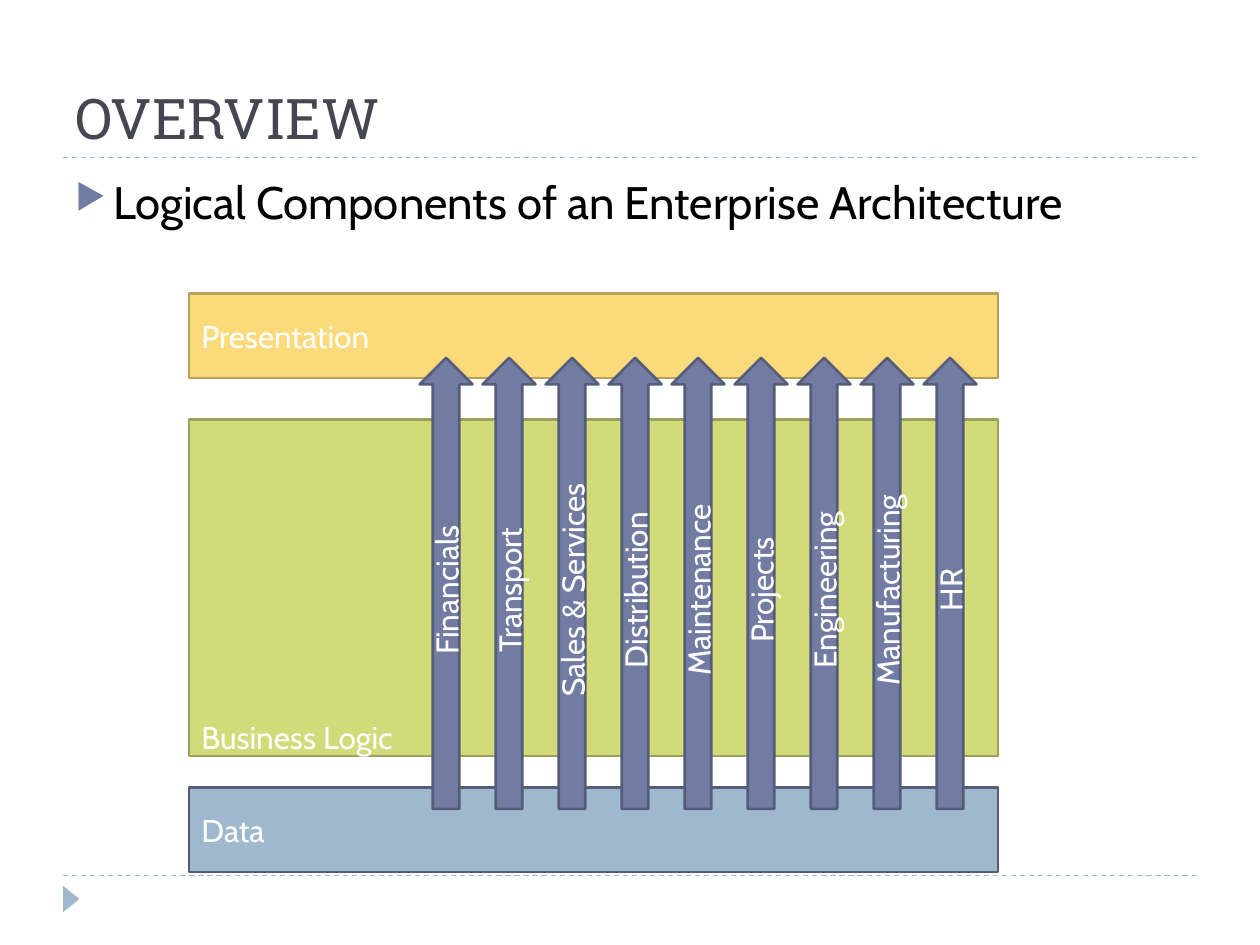
from pptx import Presentation
from pptx.dml.color import RGBColor
from pptx.enum import dml, shapes, text
from pptx.oxml import parse_xml
from pptx.oxml.ns import nsdecls
from pptx.util import Inches, Pt

BODY_FONT, TITLE_FONT = "Cabin", "Roboto Slab"
LAYERS = [  # name, top, height, fill, line, anchor
    ("Data", 6.25, 0.67, "9FB8CD", "545C79", text.MSO_ANCHOR.MIDDLE),
    ("Business Logic", 3.33, 2.67, "D2DA7A", "9BA15A", text.MSO_ANCHOR.BOTTOM),
    ("Presentation", 2.33, 0.67, "FADA7A", "B9A15A", text.MSO_ANCHOR.MIDDLE),
]
MODULES = ["Financials", "Transport", "Sales & Services", "Distribution", "Maintenance",
           "Projects", "Engineering", "Manufacturing", "HR"]


def rgb(value):
    return RGBColor.from_string(value)


def write(sp, words, size, color, font=BODY_FONT, align=text.PP_ALIGN.LEFT,
          anchor=text.MSO_ANCHOR.MIDDLE):
    tf = sp.text_frame
    tf.text = words
    tf.word_wrap = True
    tf.vertical_anchor = anchor
    p = tf.paragraphs[0]
    p.alignment = align
    f = p.runs[0].font
    f.size, f.name, f.color.rgb = Pt(size), font, rgb(color)
    return p


def add_shape(s, kind, x, y, w, h, fill, line=None):
    sp = s.shapes.add_shape(kind, Inches(x), Inches(y), Inches(w), Inches(h))
    sp.shadow.inherit = False
    sp.fill.solid()
    sp.fill.fore_color.rgb = rgb(fill)
    if line:
        sp.line.color.rgb = rgb(line)
        sp.line.width = Pt(1.5)
    else:
        sp.line.fill.background()
    return sp


def add_frame(s, x, w):
    """Dashed rules under the title and above the footer, with the footer marker."""
    for y in (6.95, 1.25):
        rule = s.shapes.add_connector(shapes.MSO_CONNECTOR.STRAIGHT, Inches(x), Inches(y),
                                      Inches(x + w), Inches(y))
        rule.line.color.rgb = rgb("9FB8CD")
        rule.line.width = Pt(0.75)
        rule.line.dash_style = dml.MSO_LINE.DASH
        rule._element.spPr.append(parse_xml(f"<a:effectLst {nsdecls('a')}/>"))
    marker = add_shape(s, shapes.MSO_SHAPE.ISOSCELES_TRIANGLE, x - 0.04, 7.07, 0.21, 0.13,
                       "9FB8CD")
    marker.rotation = 90


def add_title(s, x, y, w, h):
    title = s.shapes.title
    title.left, title.top, title.width, title.height = map(Inches, (x, y, w, h))
    write(title, "OVERVIEW", 32, "464653", TITLE_FONT, anchor=text.MSO_ANCHOR.BOTTOM)


def add_bullet(s, x, y, w, h):
    box = s.shapes.add_textbox(Inches(x), Inches(y), Inches(w), Inches(h))
    p = write(box, "Logical Components of an Enterprise Architecture", 26, "000000",
              anchor=text.MSO_ANCHOR.TOP)
    p.space_before = Pt(6)
    pPr = p._p.get_or_add_pPr()
    pPr.set("marL", str(Inches(0.3)))
    pPr.set("indent", str(-Inches(0.3)))
    for tag in ('buClr {}><a:srgbClr val="727CA3"/></a:buClr>', 'buSzPct {} val="76000"/>',
                'buChar {} char="▶"/>'):
        pPr.append(parse_xml("<a:" + tag.format(nsdecls("a"))))


def add_layers(s, x, w):
    for name, y, h, fill, line, anchor in LAYERS:
        sp = add_shape(s, shapes.MSO_SHAPE.RECTANGLE, x, y, w, h, fill, line)
        write(sp, name, 18, "FFFFFF", anchor=anchor)
        if anchor == text.MSO_ANCHOR.BOTTOM:
            sp.text_frame.margin_bottom = 0


def add_modules(s, x, y, length, thickness, pitch):
    """Upward arrows; x and y locate the first one before its quarter turn."""
    for i, name in enumerate(MODULES):
        arrow = add_shape(s, shapes.MSO_SHAPE.RIGHT_ARROW, x + i * pitch, y, length,
                          thickness, "727CA3", "545C79")
        arrow.rotation = 270
        write(arrow, name, 18, "FFFFFF", align=text.PP_ALIGN.CENTER)


def main():
    prs = Presentation()
    prs.slide_width, prs.slide_height = Inches(10), Inches(7.5)
    s = prs.slides.add_slide(prs.slide_layouts[5])
    add_frame(s, 0.5, 9)
    add_title(s, 0.5, 0.17, 9, 1.08)
    add_bullet(s, 0.5, 1.33, 9, 5.4)
    add_layers(s, 1.5, 6.42)
    add_modules(s, 1.75, 4.42, 3.58, 0.42, 0.5)
    prs.save("out.pptx")


if __name__ == "__main__":
    main()
